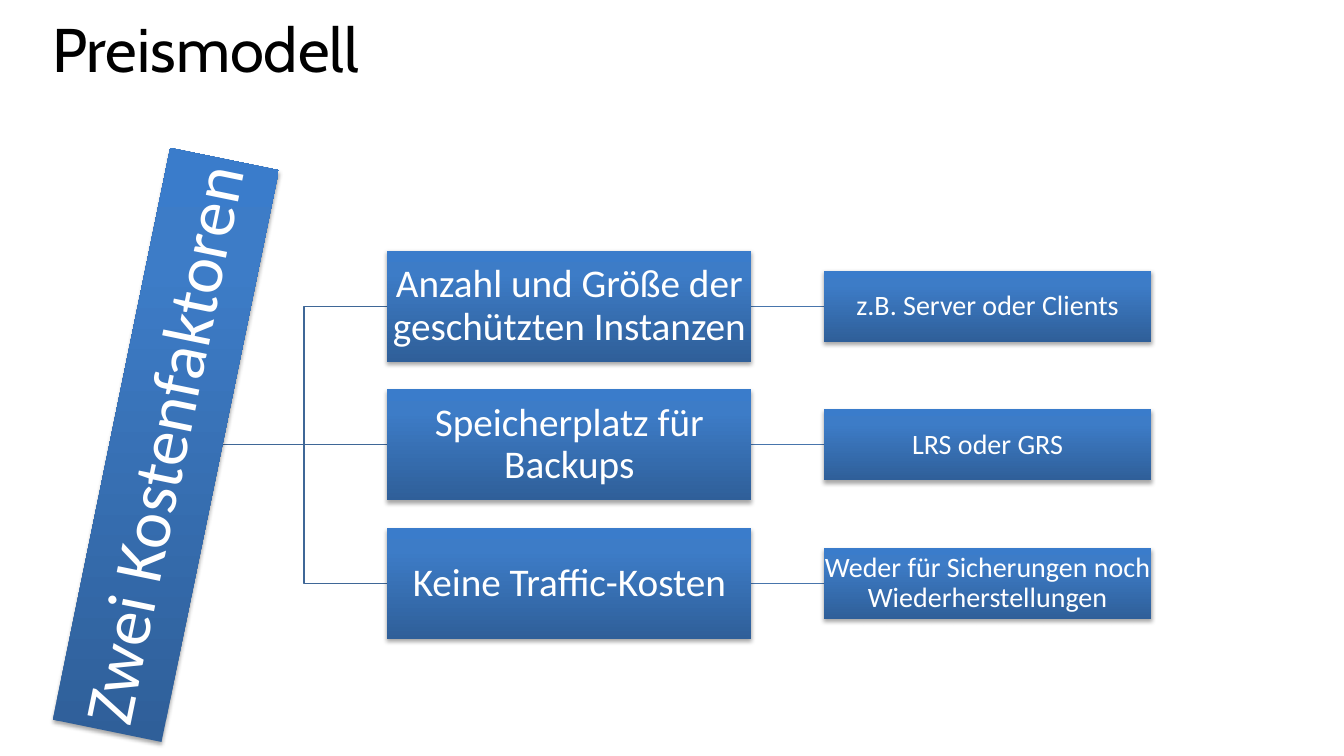
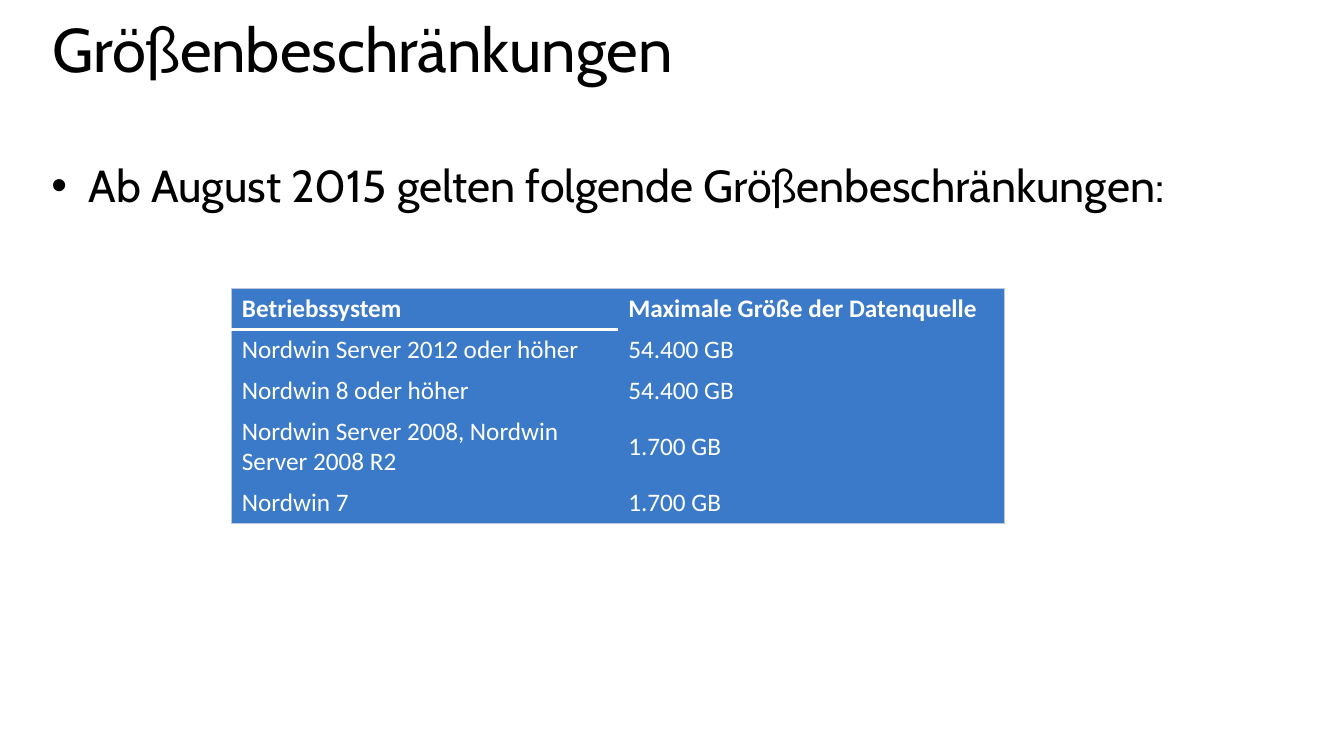
import dataclasses
import typing

import lxml.etree
import pptx
import pptx.dml.color
import pptx.enum.shapes
import pptx.enum.text
import pptx.oxml.ns
import pptx.util

SLIDE_WIDTH = pptx.util.Inches(13.33)
SLIDE_HEIGHT = pptx.util.Inches(7.5)
TITLE_FONT = "Cabin"
DIAGRAM_FONT = "Calibri"
BLACK = "000000"
WHITE = "FFFFFF"
BAR_STOPS = ((0, "2F5F99"), (80, "3D7CC7"), (100, "3A7CCB"))
BRANCH_LINE = "3F6797"
DETAIL_LINE = "4875AC"
TABLE_FILL = "3B7AC8"
TABLE_EDGE = "BDC8DD"
NO_TABLE_STYLE = "{2D5ABB26-0587-4C30-8999-92F81FD0307C}"


@dataclasses.dataclass(frozen=True)
class Area:
    """Edges and sizes in percent of the slide's width and height."""
    left: float
    top: float
    width: float
    height: float

    def emu(self) -> tuple[int, int, int, int]:
        return across(self.left), down(self.top), across(self.width), down(self.height)


@dataclasses.dataclass(frozen=True)
class BoxStyle:
    center: float
    width: float
    height: float
    size: float
    inset: float
    rotation: float = 0

    @property
    def left(self) -> float:
        return self.center - self.width / 2

    @property
    def right(self) -> float:
        return self.center + self.width / 2


@dataclasses.dataclass(frozen=True)
class CostFactor:
    name: str
    detail: str


@dataclasses.dataclass(frozen=True)
class SizeLimit:
    system: str
    maximum: str
    height: float = 5.4


TITLE_AREA = Area(3.15, 2.67, 94.5, 15.47)
BODY_AREA = Area(3.08, 20.27, 94.5, 77.2)
LIMITS_AREA = Area(17.25, 38.2, 57.5, 31.07)

HEADLINE = BoxStyle(12.34, 43.44, 14.67, 49, 0.03, 281.6)
FACTOR = BoxStyle(42.36, 27.1, 14.67, 28, 0.02)
DETAIL = BoxStyle(73.48, 24.38, 9.4, 20, 0.01)
MIDDLE_ROW = 59.2
MIDDLE = 58.85
ROW_PITCH = 18.35
BRANCH_START = 16.43

COST_FACTORS = (
    CostFactor("Anzahl und Größe der geschützten Instanzen", "z.B. Server oder Clients"),
    CostFactor("Speicherplatz für Backups", "LRS oder GRS"),
    CostFactor("Keine Traffic-Kosten", "Weder für Sicherungen noch Wiederherstellungen"),
)
SIZE_LIMITS = (
    SizeLimit("Betriebssystem", "Maximale Größe der Datenquelle"),
    SizeLimit("Nordwin Server 2012 oder höher", "54.400\u00a0GB"),
    SizeLimit("Nordwin 8 oder höher", "54.400\u00a0GB"),
    SizeLimit("Nordwin Server 2008, Nordwin Server 2008 R2", "1.700\u00a0GB", 9.47),
    SizeLimit("Nordwin\u00a07", "1.700\u00a0GB"),
)


def across(share: float) -> int:
    return round(SLIDE_WIDTH * share / 100)


def down(share: float) -> int:
    return round(SLIDE_HEIGHT * share / 100)


def color(value: str) -> pptx.dml.color.RGBColor:
    return pptx.dml.color.RGBColor.from_string(value)


def add_xml(parent: typing.Any, tag: str, **attributes: typing.Any) -> typing.Any:
    texts = {name: str(value) for name, value in attributes.items()}
    return lxml.etree.SubElement(parent, pptx.oxml.ns.qn(tag), texts)


def write(frame: typing.Any, text: str, *, size: float, font: str = DIAGRAM_FONT,
          ink: str = WHITE, bold: bool = False, centered: bool = False,
          spacing: float = 1, inset: float | None = None) -> typing.Any:
    frame.word_wrap = True
    if inset is not None:
        frame.margin_left = frame.margin_right = pptx.util.Inches(inset)
        frame.margin_top = frame.margin_bottom = pptx.util.Inches(inset)
    paragraph = frame.paragraphs[0]
    paragraph.line_spacing = spacing
    align = pptx.enum.text.PP_ALIGN
    paragraph.alignment = align.CENTER if centered else align.LEFT
    run = paragraph.add_run()
    run.text = text
    run.font.name = font
    run.font.size = pptx.util.Pt(size)
    run.font.bold = bold
    run.font.color.rgb = color(ink)
    return paragraph


def add_titled_slide(deck: typing.Any, title: str) -> typing.Any:
    slide = deck.slides.add_slide(deck.slide_layouts[6])
    heading = slide.shapes.add_textbox(*TITLE_AREA.emu())
    write(heading.text_frame, title, size=44, font=TITLE_FONT, ink=BLACK, spacing=0.8)
    return slide


def shade(bar: typing.Any) -> None:
    bar.fill.gradient()
    properties = bar.fill._xPr
    gradient = properties.find(pptx.oxml.ns.qn("a:gradFill"))
    gradient.clear()
    gradient.set("rotWithShape", "0")
    stops = add_xml(gradient, "a:gsLst")
    for position, tone in BAR_STOPS:
        stop = add_xml(stops, "a:gs", pos=position * 1000)
        add_xml(stop, "a:srgbClr", val=tone)
    add_xml(gradient, "a:lin", ang=270 * 60000, scaled=0)
    bar.line.fill.background()
    bar.shadow.inherit = False
    effects = properties.find(pptx.oxml.ns.qn("a:effectLst"))
    shadow = add_xml(effects, "a:outerShdw", blurRad=pptx.util.Pt(3.1),
                     dist=pptx.util.Pt(1.8), dir=90 * 60000, rotWithShape=0)
    add_xml(add_xml(shadow, "a:srgbClr", val=BLACK), "a:alpha", val=35000)


def add_bar(slide: typing.Any, text: str, style: BoxStyle, middle: float) -> None:
    area = Area(style.left, middle - style.height / 2, style.width, style.height)
    bar = slide.shapes.add_shape(pptx.enum.shapes.MSO_SHAPE.RECTANGLE, *area.emu())
    bar.rotation = style.rotation
    shade(bar)
    bar.text_frame.vertical_anchor = pptx.enum.text.MSO_ANCHOR.MIDDLE
    write(bar.text_frame, text, size=style.size, centered=True, spacing=0.9,
          inset=style.inset)


def add_link(slide: typing.Any, start: tuple[float, float], end: tuple[float, float],
             tone: str) -> None:
    kinds = pptx.enum.shapes.MSO_CONNECTOR
    kind = kinds.STRAIGHT if start[1] == end[1] else kinds.ELBOW
    link = slide.shapes.add_connector(kind, across(start[0]), down(start[1]),
                                      across(end[0]), down(end[1]))
    link.line.color.rgb = color(tone)
    link.line.width = pptx.util.Pt(0.75)
    add_xml(link._element.spPr, "a:effectLst")


def add_border(cell: typing.Any, side: str, tone: str, width: float) -> None:
    edge = add_xml(cell._tc.get_or_add_tcPr(), f"a:ln{side}", w=pptx.util.Pt(width))
    add_xml(add_xml(edge, "a:solidFill"), "a:srgbClr", val=tone)


def add_limits_table(slide: typing.Any) -> None:
    last = len(SIZE_LIMITS) - 1
    table = slide.shapes.add_table(len(SIZE_LIMITS), 2, *LIMITS_AREA.emu()).table
    table.first_row = table.horz_banding = False
    table._tbl.tblPr.find(pptx.oxml.ns.qn("a:tableStyleId")).text = NO_TABLE_STYLE
    for column in table.columns:
        column.width = across(LIMITS_AREA.width / 2)
    for index, limit in enumerate(SIZE_LIMITS):
        table.rows[index].height = down(limit.height)
        for position, text in enumerate((limit.system, limit.maximum)):
            cell = table.cell(index, position)
            add_border(cell, "R" if position else "L", TABLE_EDGE, 0.75)
            if index == 0:
                add_border(cell, "T", TABLE_EDGE, 0.75)
            if index == 0 and position == 0:
                add_border(cell, "B", WHITE, 3)
            if index == last:
                add_border(cell, "B", TABLE_EDGE, 0.75)
            cell.fill.solid()
            cell.fill.fore_color.rgb = color(TABLE_FILL)
            cell.vertical_anchor = pptx.enum.text.MSO_ANCHOR.MIDDLE
            write(cell.text_frame, text, size=18, bold=index == 0)


def build_pricing(deck: typing.Any) -> None:
    slide = add_titled_slide(deck, "Preismodell")
    middles = [MIDDLE + (row - 1) * ROW_PITCH for row in range(len(COST_FACTORS))]
    for middle in middles:
        add_link(slide, (BRANCH_START, MIDDLE), (FACTOR.left, middle), BRANCH_LINE)
        add_link(slide, (FACTOR.right, middle), (DETAIL.left, middle), DETAIL_LINE)
    add_bar(slide, "Zwei Kostenfaktoren", HEADLINE, MIDDLE)
    for factor, middle in zip(COST_FACTORS, middles):
        add_bar(slide, factor.name, FACTOR, middle)
        add_bar(slide, factor.detail, DETAIL, middle)


def build_limits(deck: typing.Any) -> None:
    slide = add_titled_slide(deck, "Größenbeschränkungen")
    body = slide.shapes.add_textbox(*BODY_AREA.emu())
    statement = write(body.text_frame, "Ab August 2015 gelten folgende Größenbeschränkungen:",
                      size=32, font=TITLE_FONT, ink=BLACK)
    statement.space_before = pptx.util.Pt(14)
    layout = statement._p.get_or_add_pPr()
    layout.set("marL", str(pptx.util.Inches(0.37)))
    layout.set("indent", str(-pptx.util.Inches(0.37)))
    add_xml(layout, "a:buFont", typeface="Arial")
    add_xml(layout, "a:buChar", char="•")
    add_limits_table(slide)


def main() -> None:
    deck = pptx.Presentation()
    deck.slide_width = SLIDE_WIDTH
    deck.slide_height = SLIDE_HEIGHT
    build_pricing(deck)
    build_limits(deck)
    deck.save("out.pptx")


main()
